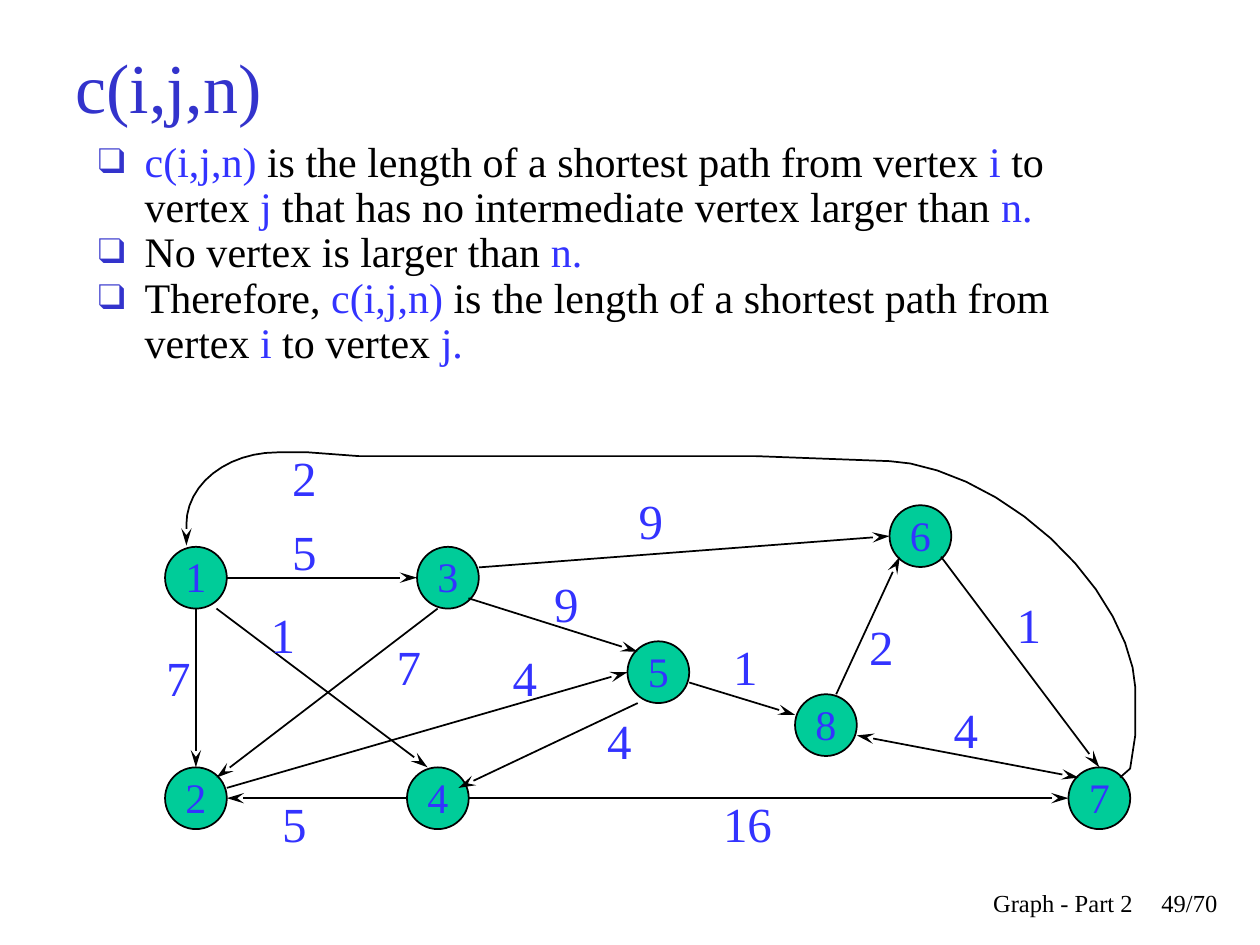
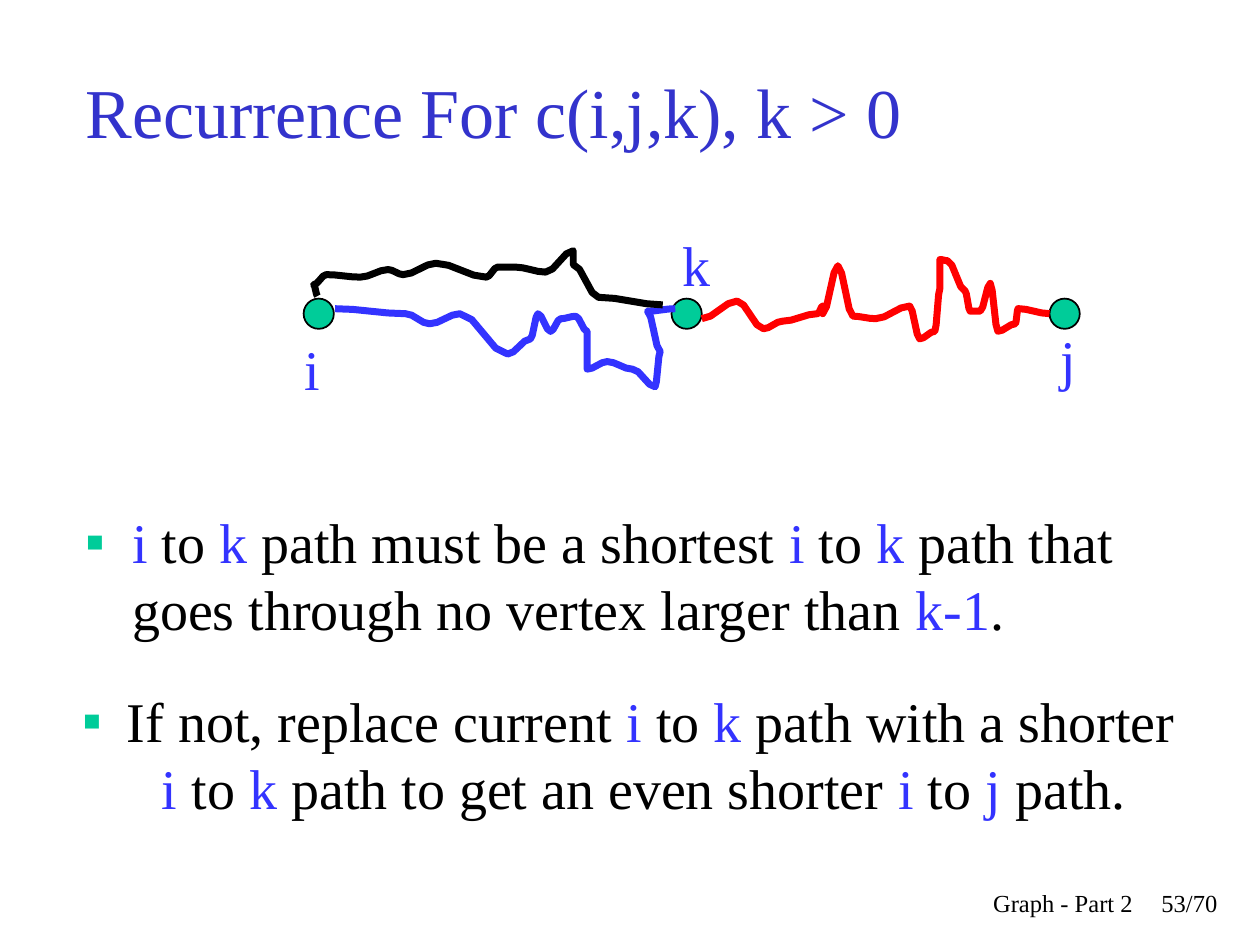
"""Build two slides on shortest paths: the meaning of c(i,j,n) and its recurrence."""
from math import cos, pi, sin
from lxml.etree import SubElement
from pptx import Presentation
from pptx.dml.color import RGBColor
from pptx.enum.shapes import MSO_CONNECTOR as Connector, MSO_SHAPE as Shape
from pptx.enum.text import MSO_ANCHOR as Anchor, PP_ALIGN as Align
from pptx.oxml.ns import qn
from pptx.util import Inches, Pt

FONT = "Times New Roman"
BLACK, BLUE, TITLE_BLUE, GREEN, RED = "000000", "3333FF", "3333CC", "00CC99", "FF0000"
FOOTER, SLIDE_COUNT = "Graph - Part 2", 70
TITLE_SIZE, NAME_SIZE, WEIGHT_SIZE, BODY_SIZE, FOOTER_SIZE = 40, 24, 28, 32, 14
THIN, THICK = 1, 4

# Text between bars is emphasised in blue.
DEFINITION = [
    "|c(i,j,n)| is the length of a shortest path from vertex |i |to vertex| j"
    "| that has no intermediate vertex larger than |n.|",
    "No vertex is larger than |n.|",
    "Therefore, |c(i,j,n)| is the length of a shortest path from vertex |i| to vertex |j.|",
]
SHORTEST = ["|i |to| k| path must be a shortest |i| to |k"
            "| path that goes through no vertex larger than |k-1|."]
REPLACE = [" If not, replace current| i| to |k| path with a shorter |i| to |k"
           "| path to get an even shorter |i |to |j| path."]

VERTEX_SIZE = 0.49
VERTICES = {
    "1": (1.31, 4.34), "2": (1.31, 6.09), "3": (3.31, 4.34), "4": (3.23, 6.09),
    "5": (4.98, 5.09), "6": (7.06, 4.01), "7": (8.48, 6.09), "8": (6.31, 5.51),
}
# A port is a step right and down from a vertex's centre, in thirds of its radius.
NORTH, SOUTH, EAST, WEST = (0, -3), (0, 3), (3, 0), (-3, 0)
NORTHEAST, SOUTHEAST, NORTHWEST, SOUTHWEST = (2, -2), (2, 2), (-2, -2), (-2, 2)
ONE_WAY, TWO_WAY = ["tail"], ["head", "tail"]
# From vertex and port, to vertex and port, weight, corner of its label, arrowheads.
EDGES = [
    ("1", SOUTH, "2", NORTH, "7", (1.22, 5.09), ONE_WAY),
    ("4", WEST, "2", EAST, "5", (2.14, 6.25), ONE_WAY),
    ("1", EAST, "3", WEST, "5", (2.22, 4.09), ONE_WAY),
    ("1", (2, 3), "4", (-1, -3), "1", (2.05, 4.75), ONE_WAY),
    ("3", (-1, 3), "2", NORTHEAST, "7", (3.05, 5), ONE_WAY),
    ("3", SOUTHEAST, "5", NORTHWEST, "9", (4.3, 4.5), ONE_WAY),
    ("2", (3, -1), "5", WEST, "4", (3.97, 5.09), ONE_WAY),
    ("5", (-2, 3), "4", (2, -1), "4", (4.72, 5.59), ONE_WAY),
    ("4", EAST, "7", WEST, "16", (5.64, 6.25), ONE_WAY),
    ("5", (3, 1), "8", (-3, -1), "1", (5.72, 5), ONE_WAY),
    ("3", (3, -1), "6", WEST, "9", (4.97, 3.84), ONE_WAY),
    ("6", SOUTHEAST, "7", NORTH, "1", (7.97, 4.67), ONE_WAY),
    ("8", (3, 1), "7", NORTHWEST, "4", (7.47, 5.5), TWO_WAY),
    ("8", (1, -3), "6", SOUTHWEST, "2", (6.8, 4.84), ONE_WAY),
]
RETURN_WEIGHT, RETURN_LABEL = "2", (2.22, 3.5)
# The return edge leaves 7, rounds two corners along the top, and drops into 1.
RETURN_START = [(8.89, 6.17), (8.97, 6.1), (9.01, 5.84)]
RIGHT_CORNER = {"center": (7.06, 5.45), "radii": (1.95, 1.79), "power": 1.65}
RETURN_TOP = [(6, 3.62), (2.85, 3.62), (2.45, 3.59)]
LEFT_CORNER = {"center": (2.2, 4.16), "radii": (-0.72, 0.57), "power": 2}
RETURN_END = (1.48, 4.33)

STOP_SIZE, STOP_TOP = 0.24, 2.37
# Left of the vertex, then the corner of its name.
STOPS = {"i": (2.41, (2.32, 2.61)), "j": (8.33, (8.32, 2.53)), "k": (5.33, (5.32, 1.78))}
# Turns of each winding path: distance right of, and rise above, the vertex it starts at.
CURRENT_TURNS = [
    (0.13, 0.04), (0.69, 0), (0.88, -0.08), (1.12, 0), (1.5, -0.32), (1.68, -0.2),
    (1.74, 0), (1.84, -0.14), (1.92, -0.04), (2.04, -0.02), (2.13, -0.14), (2.13, -0.44),
    (2.29, -0.38), (2.49, -0.44), (2.67, -0.58), (2.71, -0.3), (2.61, 0.02), (2.83, 0.04),
]
REMAINING_TURNS = [
    (0.12, -0.04), (0.4, 0.1), (0.61, -0.12), (0.76, -0.06), (1.04, 0), (1.08, 0.06),
    (1.08, 0), (1.2, 0.38), (1.32, -0.02), (1.5, -0.04), (1.77, 0.06), (1.85, -0.2),
    (1.97, -0.14), (2.01, 0.2), (2.01, 0.43), (2.07, 0.42), (2.21, 0.18), (2.25, 0.02),
    (2.33, 0.02), (2.41, 0.24), (2.47, -0.14), (2.61, -0.08), (2.63, 0.04), (2.88, 0),
]
SHORTER_TURNS = [
    (-0.01, 0.14), (-0.04, 0.23), (0.06, 0.31), (0.33, 0.29), (0.55, 0.35), (0.67, 0.31),
    (0.93, 0.4), (1.33, 0.29), (1.42, 0.37), (1.56, 0.37), (1.8, 0.33), (2.02, 0.5),
    (2.02, 0.39), (2.22, 0.13), (2.73, 0.07),
]
WINDING_PATHS = [("i", CURRENT_TURNS, BLUE), ("k", REMAINING_TURNS, RED),
                 ("i", SHORTER_TURNS, BLACK)]


def rgb(color):
    return RGBColor.from_string(color)


def inches(values):
    return [Inches(value) for value in values]


def port_point(name, port):
    """Return the point of a vertex that an edge touches."""
    radius = VERTEX_SIZE / 2
    return tuple(corner + radius + step * radius / 3
                 for corner, step in zip(VERTICES[name], port))


def rounded_corner(center, radii, power, steps=12):
    """Return a quarter of a superellipse, from its side to its top."""
    angles = [pi / 2 * step / steps for step in range(steps + 1)]
    return [(center[0] + radii[0] * abs(cos(angle)) ** (2 / power),
             center[1] - radii[1] * sin(angle) ** (2 / power)) for angle in angles]


def return_path():
    """Return the outline of the edge from 7 back to 1."""
    right, left = rounded_corner(**RIGHT_CORNER), rounded_corner(**LEFT_CORNER)
    return RETURN_START + right + RETURN_TOP + left[::-1] + [RETURN_END]


def winding_path(stop, turns, steps=4):
    """Ease the height from turn to turn, so that every turn is a rounded one."""
    center_x, center_y = STOPS[stop][0] + STOP_SIZE / 2, STOP_TOP + STOP_SIZE / 2
    points = [turns[0]]
    for (x1, rise1), (x2, rise2) in zip(turns, turns[1:]):
        for step in range(1, steps + 1):
            share = step / steps
            eased = (1 - cos(pi * share)) / 2
            points.append((x1 + (x2 - x1) * share, rise1 + (rise2 - rise1) * eased))
    return [(center_x + x, center_y - rise) for x, rise in points]


def style_font(font, size, color):
    font.name, font.size = FONT, Pt(size)
    font.color.rgb = rgb(color)


def style_line(line, color, width, ends=()):
    line.color.rgb, line.width = rgb(color), Pt(width)
    for end in ends:
        SubElement(line._get_or_add_ln(), qn(f"a:{end}End"), type="stealth", w="med", len="lg")


def add_frame(slide, box, anchor=Anchor.TOP):
    frame = slide.shapes.add_textbox(*inches(box)).text_frame
    frame.word_wrap, frame.vertical_anchor = True, anchor
    return frame


def write(frame, text, size, color, align=Align.LEFT):
    paragraph = frame.paragraphs[0]
    paragraph.text, paragraph.alignment = text, align
    style_font(paragraph.font, size, color)


def add_bullet_mark(paragraph, mark, color, scale, indent):
    properties = paragraph._p.get_or_add_pPr()
    for name, value in zip(("marL", "indent"), indent):
        properties.set(name, str(Inches(value)))
    SubElement(SubElement(properties, qn("a:buClr")), qn("a:srgbClr"), val=color)
    SubElement(properties, qn("a:buSzPct"), val=str(scale * 1000))
    SubElement(properties, qn("a:buFont"), typeface=FONT)
    SubElement(properties, qn("a:buChar"), char=mark)


def add_bullets(slide, box, texts, size=BODY_SIZE, mark="▪", color=GREEN, scale=100,
                indent=(0.38, -0.37), spacing=1.0, align=Align.LEFT):
    frame = add_frame(slide, box)
    for index, text in enumerate(texts):
        paragraph = frame.add_paragraph() if index else frame.paragraphs[0]
        paragraph.alignment, paragraph.line_spacing = align, spacing
        add_bullet_mark(paragraph, mark, color, scale, indent)
        style_font(paragraph.font, size, BLACK)
        for part, words in enumerate(text.split("|")):
            if words:
                run = paragraph.add_run()
                run.text = words
                if part % 2:
                    run.font.color.rgb = rgb(BLUE)


def add_vertex(slide, left, top, size, name=""):
    vertex = slide.shapes.add_shape(Shape.OVAL, *inches((left, top, size, size)))
    vertex.shadow.inherit = False
    vertex.fill.solid()
    vertex.fill.fore_color.rgb = rgb(GREEN)
    style_line(vertex.line, BLACK, THIN)
    if name:
        frame = vertex.text_frame
        frame.margin_left = frame.margin_right = frame.margin_top = 0
        frame.margin_bottom = Inches(0.03)
        frame.word_wrap, frame.vertical_anchor = False, Anchor.MIDDLE
        write(frame, name, NAME_SIZE, BLUE, Align.CENTER)


def add_edge(slide, start, end, ends):
    edge = slide.shapes.add_connector(Connector.STRAIGHT, *inches(start + end))
    style_line(edge.line, BLACK, THIN, ends)
    SubElement(edge._element.spPr, qn("a:effectLst"))


def add_path(slide, points, color, width, ends=()):
    first, *rest = [inches(point) for point in points]
    builder = slide.shapes.build_freeform(*first)
    builder.add_line_segments(rest, close=False)
    path = builder.convert_to_shape()
    path.shadow.inherit = False
    path.fill.background()
    style_line(path.line, color, width, ends)


def add_weight(slide, weight, corner):
    write(add_frame(slide, (*corner, 0.42 * len(weight), 0.57)), weight, WEIGHT_SIZE, BLUE)


def add_slide(presentation, title, title_box, number):
    slide = presentation.slides.add_slide(presentation.slide_layouts[6])
    write(add_frame(slide, title_box, Anchor.MIDDLE), title, TITLE_SIZE, TITLE_BLUE)
    for left, width, text in ((9.08, 0.68, f"{number}/{SLIDE_COUNT}"), (5.92, 3.17, FOOTER)):
        write(add_frame(slide, (left, 7, width, 0.5)), text, FOOTER_SIZE, BLACK, Align.RIGHT)
    return slide


def build_definition(presentation):
    slide = add_slide(presentation, "c(i,j,n)", (0.5, 0.3, 9, 0.75), 49)
    add_bullets(slide, (0.67, 1.07, 8.5, 2.67), DEFINITION, size=24, mark="❑",
                color=TITLE_BLUE, scale=85, spacing=0.9)
    for name, corner in VERTICES.items():
        add_vertex(slide, *corner, VERTEX_SIZE, name)
    for source, source_port, target, target_port, weight, corner, ends in EDGES:
        add_edge(slide, port_point(source, source_port), port_point(target, target_port), ends)
        add_weight(slide, weight, corner)
    add_path(slide, return_path(), BLACK, THIN, ONE_WAY)
    add_weight(slide, RETURN_WEIGHT, RETURN_LABEL)


def build_recurrence(presentation):
    slide = add_slide(presentation, "Recurrence For c(i,j,k), k > 0",
                      (0.58, 0.25, 8.5, 1.25), 53)
    for name, (left, corner) in STOPS.items():
        add_vertex(slide, left, STOP_TOP, STOP_SIZE)
        write(add_frame(slide, (*corner, 0.25, 0.63)), name, BODY_SIZE, BLUE)
    for stop, turns, color in WINDING_PATHS:
        add_path(slide, winding_path(stop, turns), color, THICK)
    add_bullets(slide, (0.57, 3.98, 8.68, 1.25), SHORTEST)
    add_bullets(slide, (0.49, 5.4, 9, 1.26), REPLACE, indent=(0.24, -0.24), align=Align.CENTER)


def main():
    presentation = Presentation()
    presentation.slide_width, presentation.slide_height = Inches(10), Inches(7.5)
    build_definition(presentation)
    build_recurrence(presentation)
    presentation.save("out.pptx")


if __name__ == "__main__":
    main()
